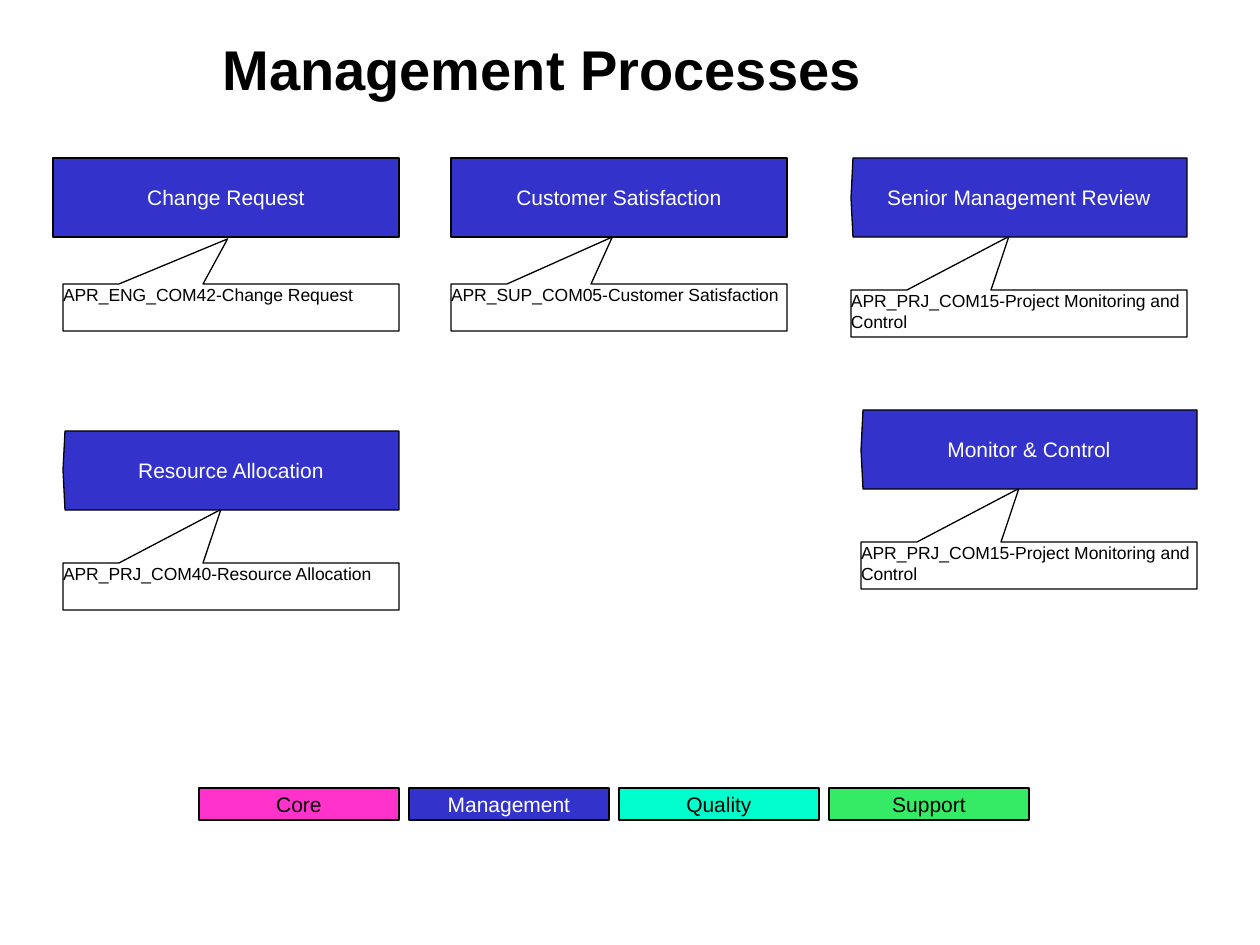
from pptx import Presentation, util as u
from pptx.dml.color import RGBColor
from pptx.enum import shapes, text

SCALE = 914400 / 126  # EMU per px

theme = {
    "font": "Arial", "black": "000000", "white": "FFFFFF",
    "core": "FF33CC", "manage": "3333CC", "quality": "00FFCC", "support": "35EB65",
    "title": 32, "label": 12, "note": 10, "line": 0.75,
}


def px(*vals):
    return [u.Emu(round(v * SCALE)) for v in vals]


def dress(shape, words, size, ink, fill=None, frame=None, align="LEFT", bold=False):
    """Set the fill, outline and text of one shape."""
    if fill:
        shape.fill.solid()
        shape.fill.fore_color.rgb = RGBColor.from_string(theme[fill])
    else:
        shape.fill.background()
    if not shape.is_placeholder:
        shape.shadow.inherit = False
        shape.line.color.rgb = RGBColor.from_string(theme["black"])
        shape.line.width = u.Pt(theme["line"])
    box = shape.text_frame
    box.text = words
    for key, val in (frame or {}).items():
        setattr(box, key, val)
    para = box.paragraphs[0]
    para.alignment = getattr(text.PP_ALIGN, align)
    look = {"name": theme["font"], "size": u.Pt(theme[size]), "bold": bold}
    font = para.runs[0].font
    for key, val in look.items():
        setattr(font, key, val)
    font.color.rgb = RGBColor.from_string(theme[ink])


deck = Presentation()
deck.slide_width, deck.slide_height = px(1260, 945)
slide = deck.slides.add_slide(deck.slide_layouts[5])
parts = slide.shapes

middle = {"vertical_anchor": text.MSO_ANCHOR.MIDDLE, "word_wrap": False}
tight = {"vertical_anchor": text.MSO_ANCHOR.TOP, "word_wrap": True}
tight.update({f"margin_{side}": 0 for side in ("left", "top", "right", "bottom")})

# Title
title = parts.title
title.left, title.top, title.width, title.height = px(210, 21, 1029, 95)
dress(title, "Management Processes", "title", "black",
      frame={**middle, "word_wrap": True, "auto_size": text.MSO_AUTO_SIZE.NONE}, bold=True)

# Processes: name, left, top, width, notch, note, note top, pointer offsets
HIGH, NOTE_W, NOTE_H = 79, 336, 47
control = "APR_PRJ_COM15-Project Monitoring and Control"
steps = [
    ("Change Request", 53, 158, 346, 0,
     "APR_ENG_COM42-Change Request", 284, (-0.01, -1.46)),
    ("Customer Satisfaction", 451, 158, 336, 0,
     "APR_SUP_COM05-Customer Satisfaction", 284, (-0.02, -1.5)),
    ("Senior Management Review", 851, 158, 336, 2,
     control, 290, (-0.03, -1.64)),
    ("Resource Allocation", 63, 431, 336, 2,
     "APR_PRJ_COM40-Resource Allocation", 563, (-0.03, -1.64)),
    ("Monitor & Control", 861, 410, 336, 2,
     control, 542, (-0.03, -1.64)),
]
for name, x, y, wide, notch, note, low, tip in steps:
    right = x + wide
    # Callout, flush with the right side of its process
    call = parts.add_shape(shapes.MSO_SHAPE.RECTANGULAR_CALLOUT,
                           *px(right - NOTE_W, low, NOTE_W, NOTE_H))
    call.adjustments[0], call.adjustments[1] = tip
    dress(call, note, "note", "black", frame=tight)
    # Process box, with a slight point on its left side
    path = parts.build_freeform(right, y, SCALE)
    path.add_line_segments([(x + notch, y), (x, y + HIGH / 2),
                            (x + notch, y + HIGH), (right, y + HIGH)])
    dress(path.convert_to_shape(), name, "label", "white", "manage", middle, "CENTER")

# Legend
legend = [("Core", "core", "black"), ("Management", "manage", "white"),
          ("Quality", "quality", "black"), ("Support", "support", "black")]
for i, (name, fill, ink) in enumerate(legend):
    key = parts.add_shape(shapes.MSO_SHAPE.RECTANGLE, *px(199 + 210 * i, 788, 200, 32))
    dress(key, name, "label", ink, fill, middle, "CENTER")

deck.save("out.pptx")
